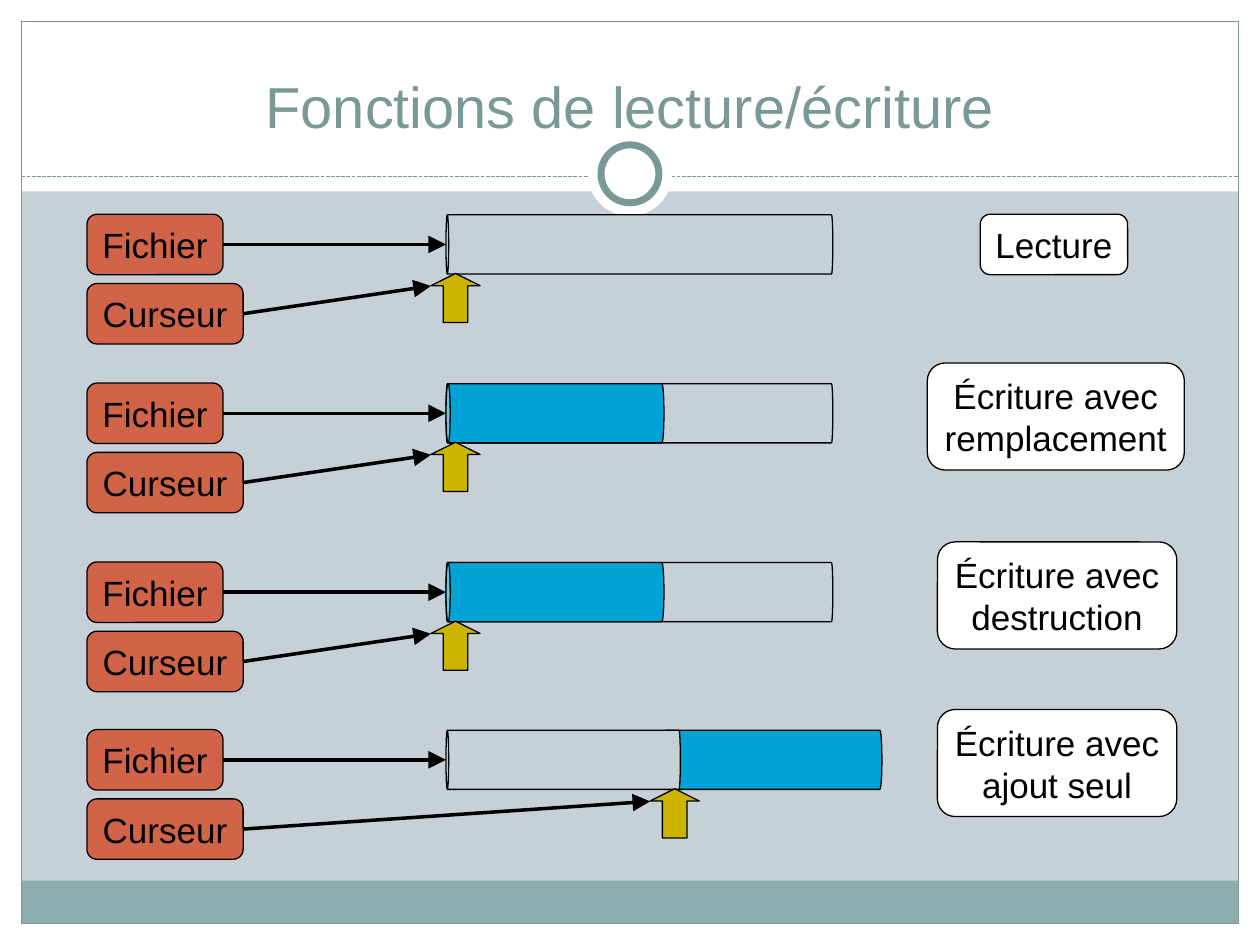
import pptx
import pptx.dml.color
import pptx.enum.dml
import pptx.enum.shapes
import pptx.enum.text
import pptx.oxml
import pptx.oxml.ns
import pptx.util
from lxml import etree

THEME = {
    "font": "Arial", "title size": 33, "label size": 20,
    "background": "C5D1D7", "paper": "FFFFFF", "ink": "000000",
    "accent": "7B9899", "band": "8CADAE", "tag": "D16349",
    "cursor": "CCB400", "written": "00A3D6",
}
WIDTH, HEIGHT, MARGIN = 10, 7.5, 0.17
HEADER, RULE = 1.52, 1.4                       # header height, dashed rule

# Columns and heights of the diagram
TAG_LEFT, FILE_LEFT = 0.69, 3.54
TAG_HEIGHT, LINE_HEIGHT, CURSOR_DROP = 0.48, 0.37, 0.55
FILE_HEIGHT, FILE_LENGTH, WRITTEN_LENGTH, KEPT_LENGTH = 0.47, 3.07, 1.73, 1.86
ARROW = 0.39

SHAPE = pptx.enum.shapes.MSO_SHAPE
ANCHOR = pptx.enum.text.MSO_ANCHOR


def format_shape(shape, text="", fill=None, line=None, line_width=0.75,
                 size=THEME["label size"], color="ink", anchor=ANCHOR.MIDDLE,
                 wrap=False):
    """Give a shape its fill, line and, when there is any, its text."""
    shape.shadow.inherit = False
    for part, name in ((shape.fill, fill), (shape.line.fill, line)):
        if name:
            part.solid()
            part.fore_color.rgb = pptx.dml.color.RGBColor.from_string(THEME[name])
        else:
            part.background()
    if line:
        shape.line.width = pptx.util.Pt(line_width)
    if text:
        frame = shape.text_frame
        frame.text = text
        frame.word_wrap = wrap
        frame.auto_size = pptx.enum.text.MSO_AUTO_SIZE.NONE
        frame.vertical_anchor = anchor
        frame.margin_left = frame.margin_right = pptx.util.Inches(0.05)
        for paragraph in frame.paragraphs:
            paragraph.alignment = pptx.enum.text.PP_ALIGN.CENTER
            font = paragraph.runs[0].font
            font.name, font.size = THEME["font"], pptx.util.Pt(size)
            font.color.rgb = pptx.dml.color.RGBColor.from_string(THEME[color])


def draw_line(start, end, color, width, dash=None, arrow=False):
    """Draw a straight line, with an arrowhead at its end on request."""
    connector = slide.shapes.add_connector(
        pptx.enum.shapes.MSO_CONNECTOR.STRAIGHT,
        *map(pptx.util.Inches, (*start, *end)))
    connector.line.color.rgb = pptx.dml.color.RGBColor.from_string(THEME[color])
    connector.line.width = pptx.util.Pt(width)
    if dash:
        connector.line.dash_style = dash
    if arrow:
        etree.SubElement(connector.line._get_or_add_ln(),
                         pptx.oxml.ns.qn("a:tailEnd"),
                         type="triangle", w="lg", len="lg")
    etree.SubElement(connector._element.spPr, pptx.oxml.ns.qn("a:effectLst"))


presentation = pptx.Presentation()
presentation.slide_width = pptx.util.Inches(WIDTH)
presentation.slide_height = pptx.util.Inches(HEIGHT)
slide = presentation.slides.add_slide(presentation.slide_layouts[5])
slide.background.fill.solid()
slide.background.fill.fore_color.rgb = pptx.dml.color.RGBColor.from_string(
    THEME["background"])

# Margins, footer band and frame
inner_width, inner_height = WIDTH - 2 * MARGIN, HEIGHT - 2 * MARGIN
for at, fill, line in (
    ((0, HEIGHT - MARGIN, WIDTH, MARGIN), "paper", None),
    ((0, 0, WIDTH, HEADER), "paper", None),
    ((0, 0, MARGIN, HEIGHT), "paper", None),
    ((WIDTH - MARGIN, 0, MARGIN, HEIGHT), "paper", None),
    ((MARGIN, HEIGHT - 3 * MARGIN, inner_width, 2 * MARGIN), "band", None),
    ((MARGIN, MARGIN, inner_width, inner_height), None, "accent"),
):
    format_shape(slide.shapes.add_shape(SHAPE.RECTANGLE, *map(pptx.util.Inches, at)),
                 fill=fill, line=line)

# Dashed rule and ring
draw_line((MARGIN, RULE), (WIDTH - MARGIN, RULE), "accent", 0.75,
          dash=pptx.enum.dml.MSO_LINE.SQUARE_DOT)
for diameter, line in ((0.67, None), (0.46, "accent")):
    at = (WIDTH / 2 - diameter / 2, 1.38 - diameter / 2, diameter, diameter)
    format_shape(slide.shapes.add_shape(SHAPE.OVAL, *map(pptx.util.Inches, at)),
                 fill="paper", line=line, line_width=4)

# Title, brought in front of the header
title = slide.shapes.title
title.left, title.top, title.width, title.height = map(
    pptx.util.Inches, (0.5, 0.31, WIDTH - 1, 0.85))
format_shape(title, "Fonctions de lecture/écriture", size=THEME["title size"],
             color="accent", anchor=ANCHOR.BOTTOM, wrap=True)
slide.shapes._spTree.append(title._element)

# One row per mode: top, label with its left and width, cursor left, file segments
whole = (FILE_LEFT, FILE_LENGTH, 0.045, "background")
overwritten = (FILE_LEFT, WRITTEN_LENGTH, 0.071, "written")
appended = (5.27, WRITTEN_LENGTH, 0.071, "written")
kept = (FILE_LEFT, KEPT_LENGTH, 0.045, "background")
rows = (
    (1.70, "Lecture", 7.78, 1.17, 3.42, (whole,)),
    (3.04, "Écriture avec\nremplacement", 7.36, 2.04, 3.42, (whole, overwritten)),
    (4.46, "Écriture avec\ndestruction", 7.44, 1.9, 3.42, (whole, overwritten)),
    (5.79, "Écriture avec\najout seul", 7.44, 1.9, 5.16, (appended, kept)),
)
for top, label, label_left, label_width, cursor_left, segments in rows:
    middle = top + TAG_HEIGHT / 2
    cursor_top = top + 0.47

    # File, a cylinder lying on its side
    for left, length, cap, fill in segments:
        at = (left + length / 2 - FILE_HEIGHT / 2, middle - length / 2,
              FILE_HEIGHT, length)
        cylinder = slide.shapes.add_shape(SHAPE.CAN, *map(pptx.util.Inches, at))
        cylinder.adjustments[0] = cap
        cylinder.rotation = 270
        format_shape(cylinder, fill=fill, line="ink")

    # Cursor
    at = (cursor_left, cursor_top, ARROW, ARROW)
    cursor = slide.shapes.add_shape(SHAPE.UP_ARROW, *map(pptx.util.Inches, at))
    cursor.adjustments[1] = 0.25
    format_shape(cursor, fill="cursor", line="ink")

    # Tags on the left and mode on the right
    extra = label.count("\n") * LINE_HEIGHT
    for text, fill, at in (
        ("Fichier", "tag", (TAG_LEFT, top, 1.08, TAG_HEIGHT)),
        ("Curseur", "tag", (TAG_LEFT, top + CURSOR_DROP, 1.24, TAG_HEIGHT)),
        (label, "paper", (label_left, top - 0.43 * extra,
                          label_width, TAG_HEIGHT + extra)),
    ):
        box = slide.shapes.add_shape(SHAPE.ROUNDED_RECTANGLE,
                                     *map(pptx.util.Inches, at))
        format_shape(box, text, fill=fill, line="ink")

    # Arrows from the tags to the file and the cursor
    for start, end in (
        ((TAG_LEFT + 1.08, middle), (FILE_LEFT, middle)),
        ((TAG_LEFT + 1.24, middle + CURSOR_DROP), (cursor_left, cursor_top + 0.1)),
    ):
        draw_line(start, end, "ink", 2, arrow=True)

presentation.save("out.pptx")
